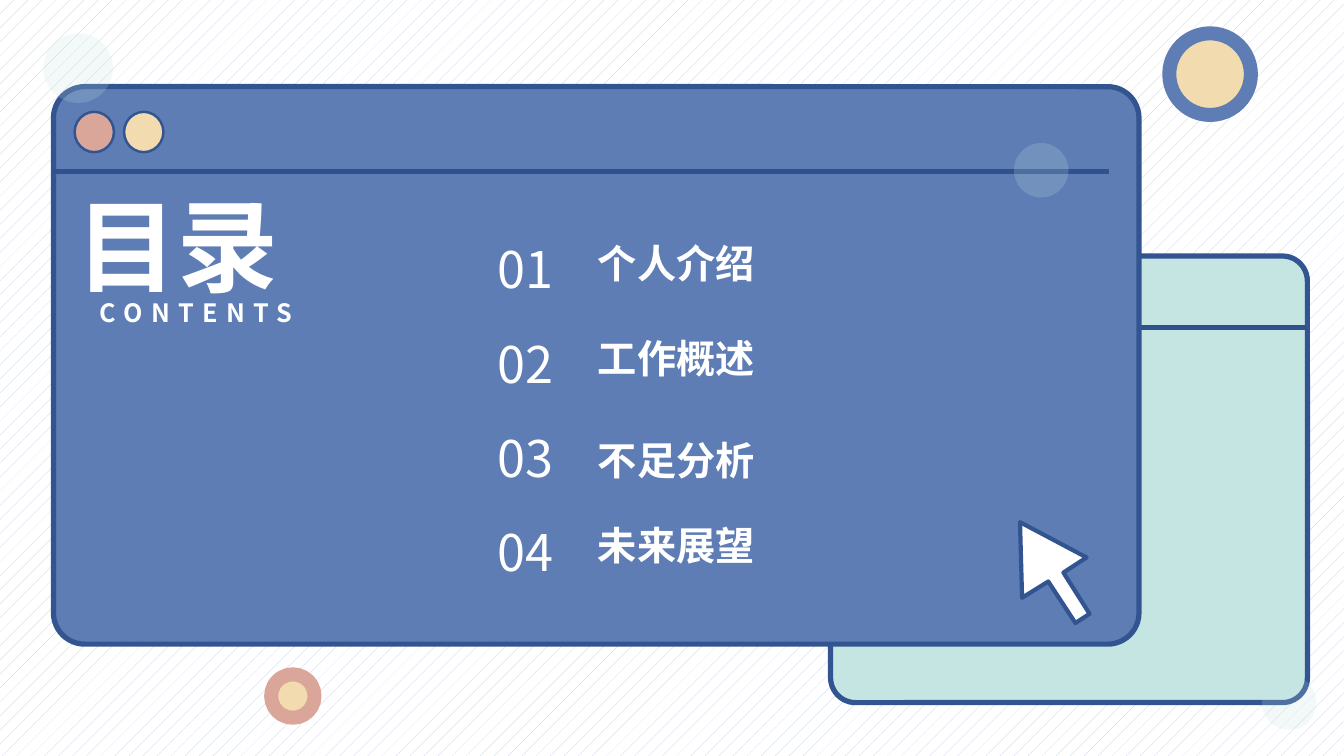
from lxml.etree import SubElement
from pptx import Presentation
from pptx.dml.color import RGBColor
from pptx.enum.dml import MSO_PATTERN
from pptx.enum.shapes import MSO_CONNECTOR, MSO_SHAPE
from pptx.enum.text import MSO_ANCHOR, PP_ALIGN
from pptx.oxml.ns import qn
from pptx.util import Pt

NAVY = RGBColor(0x32, 0x54, 0x91)
DIVIDER_BLUE = RGBColor(0x2F, 0x52, 0x8F)
BLUE = RGBColor(0x5E, 0x7D, 0xB4)
MINT = RGBColor(0xC5, 0xE5, 0xE2)
ROSE = RGBColor(0xDA, 0xA6, 0x99)
CREAM = RGBColor(0xF2, 0xDB, 0xAF)
PALE_BLUE = RGBColor(0xBD, 0xCA, 0xE1)
WHITE = RGBColor(0xFF, 0xFF, 0xFF)

FONT = "Noto Sans CJK SC"
TITLE_ONLY_LAYOUT = 5
PANEL_LINE = 3.75

# Label and top of each entry; the numbers beside them are evenly spaced.
ENTRIES = [("个人介绍", 163.4), ("工作概述", 231.1), ("不足分析", 303.8), ("未来展望", 365)]
NUMBER_TOP, NUMBER_STEP = 166.3, 67.3

CURSOR_OUTLINE = [
    (728.6, 373), (776.2, 398.2), (759.6, 409), (778.3, 438.5),
    (768.2, 445), (748.8, 415.4), (730.1, 427),
]


def style_shape(shape, fill=None, line=None, line_width=1, alpha=None):
    """Set fill and outline; alpha is the fill's opacity in percent."""
    shape.shadow.inherit = False
    if fill is None:
        shape.fill.background()
    else:
        shape.fill.solid()
        shape.fill.fore_color.rgb = fill
    if alpha is not None:
        color = shape.element.spPr.find(qn("a:solidFill"))[0]
        SubElement(color, qn("a:alpha"), val=str(alpha * 1000))
    if line is None:
        shape.line.fill.background()
    else:
        shape.line.color.rgb = line
        shape.line.width = Pt(line_width)


def add_preset(slide, kind, box, adjustment=None, **style):
    shape = slide.shapes.add_shape(kind, *map(Pt, box))
    if adjustment is not None:
        shape.adjustments[0] = adjustment
    style_shape(shape, **style)
    return shape


def add_circle(slide, left, top, width, height=None, **style):
    box = (left, top, width, height or width)
    return add_preset(slide, MSO_SHAPE.OVAL, box, **style)


def add_window(slide, box, fill, divider_top, divider_end):
    """Draw a rounded window with the line below its title bar."""
    add_preset(slide, MSO_SHAPE.ROUNDED_RECTANGLE, box, 0.056,
               fill=fill, line=NAVY, line_width=PANEL_LINE)
    divider = slide.shapes.add_connector(
        MSO_CONNECTOR.STRAIGHT, Pt(box[0]), Pt(divider_top), Pt(divider_end), Pt(divider_top))
    divider.line.color.rgb = DIVIDER_BLUE
    divider.line.width = Pt(PANEL_LINE)
    SubElement(divider.element.spPr, qn("a:effectLst"))


def write_text(shape, text, size, bold=False, align=PP_ALIGN.LEFT,
               insets=(7.2, 3.6), spacing=None):
    frame = shape.text_frame
    frame.word_wrap = True
    frame.vertical_anchor = MSO_ANCHOR.MIDDLE
    frame.margin_left = frame.margin_right = Pt(insets[0])
    frame.margin_top = frame.margin_bottom = Pt(insets[1])
    paragraph = frame.paragraphs[0]
    paragraph.alignment = align
    run = paragraph.add_run()
    run.text = text
    run.font.size = Pt(size)
    run.font.bold = bold
    run.font.color.rgb = WHITE
    run.font.name = FONT
    properties = paragraph.runs[0].font._element
    SubElement(properties, qn("a:ea"), typeface=FONT)
    if spacing is not None:
        properties.set("spc", str(spacing * 100))


def add_text(slide, text, box, **text_format):
    write_text(slide.shapes.add_textbox(*map(Pt, box)), text, **text_format)


def place_title(slide, text, box, **text_format):
    """Move the title placeholder into its box, in front of the windows."""
    title = slide.shapes.title
    title.left, title.top, title.width, title.height = map(Pt, box)
    title.element.getparent().append(title.element)
    write_text(title, text, **text_format)


def add_entry(slide, index, label, top):
    shape = add_preset(slide, MSO_SHAPE.PARALLELOGRAM, (388.1, top, 290.9, 49), 0.482)
    write_text(shape, label, size=28, bold=True, align=PP_ALIGN.JUSTIFY, insets=(5, 2.9))
    number_box = (348.5, NUMBER_TOP + index * NUMBER_STEP, 100.1, 51.1)
    add_text(slide, f"{index + 1:02d}", number_box, size=36)


def add_cursor(slide):
    start, *corners = [(Pt(x), Pt(y)) for x, y in CURSOR_OUTLINE]
    builder = slide.shapes.build_freeform(*start)
    builder.add_line_segments(corners, close=True)
    style_shape(builder.convert_to_shape(), fill=WHITE, line=NAVY, line_width=3)


def main():
    presentation = Presentation()
    presentation.slide_width, presentation.slide_height = Pt(960), Pt(540)
    slide = presentation.slides.add_slide(presentation.slide_layouts[TITLE_ONLY_LAYOUT])
    background = slide.background.fill
    background.patterned()
    background.pattern = MSO_PATTERN.PERCENT_5
    background.fore_color.rgb = PALE_BLUE
    background.back_color.rgb = WHITE

    add_window(slide, (593.3, 182.9, 340.6, 319), MINT, 234, 933.1)
    add_window(slide, (38.2, 61.9, 775.4, 398.2), BLUE, 122.4, 792)
    for left, color in [(53.3, ROSE), (88.6, CREAM)]:
        add_circle(slide, left, 79.9, 28.1, 28.8, fill=color, line=NAVY, line_width=1.75)
    for bubble in [(31, 23.8, 49.7), (724.3, 102.2, 38.9), (901.4, 482.4, 38.9)]:
        add_circle(slide, *bubble, fill=MINT, alpha=20)

    place_title(slide, "目录", (54.7, 131, 169.9, 87.1), size=72, bold=True,
                align=PP_ALIGN.JUSTIFY, insets=(0, 0))
    add_text(slide, "CONTENTS", (13, 212.4, 254.2, 21.6), size=18, bold=True,
             align=PP_ALIGN.CENTER, insets=(0, 0), spacing=6)
    for index, (label, top) in enumerate(ENTRIES):
        add_entry(slide, index, label, top)

    for ring, color in [((835.2, 23.8, 58.3), BLUE), ((193.7, 481.7, 31), ROSE)]:
        add_circle(slide, *ring, fill=CREAM, line=color, line_width=10)
    add_cursor(slide)
    presentation.save("out.pptx")


if __name__ == "__main__":
    main()
